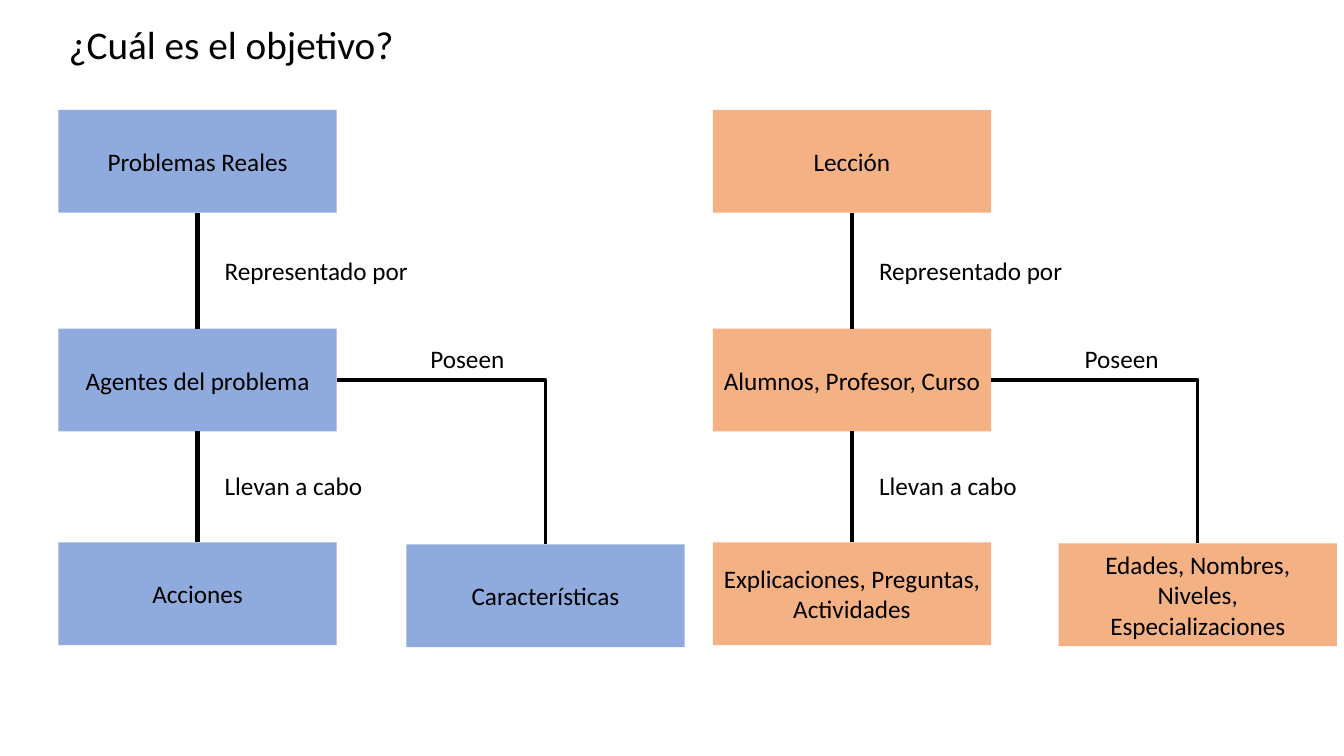
from lxml.etree import SubElement
from pptx import Presentation
from pptx.dml.color import RGBColor
from pptx.enum.shapes import MSO_CONNECTOR as Link, MSO_SHAPE as Shape
from pptx.enum.text import MSO_ANCHOR as Anchor, PP_ALIGN as Align
from pptx.oxml.ns import qn
from pptx.util import Inches, Pt

BLACK = RGBColor(0x00, 0x00, 0x00)
BLUE = RGBColor(0x8F, 0xAA, 0xDC)
ORANGE = RGBColor(0xF4, 0xB1, 0x83)

TITLE = "¿Cuál es el objetivo?"
TREES = [
    (0.58, BLUE, ["Problemas Reales", "Agentes del problema", "Acciones"],
     "Características", (4.03, 5.4)),
    (7.07, ORANGE, ["Lección", "Alumnos, Profesor, Curso",
                    "Explicaciones, Preguntas, Actividades"],
     "Edades, Nombres, Niveles, Especializaciones", (10.5, 5.39)),
]
TOPS = [1.09, 3.26, 5.38]
VERBS = [("Representado por", 1.55, 2.48), ("Llevan a cabo", 1.55, 4.62),
         ("Poseen", 3.59, 3.36)]
WIDE, HIGH = 2.76, 1.02


def write(shape, text, size, align, anchor):
    """Put formatted text in a shape."""
    frame = shape.text_frame
    frame.text = text
    frame.word_wrap = True
    frame.vertical_anchor = anchor
    para = frame.paragraphs[0]
    para.alignment = align
    font = para.runs[0].font
    font.name, font.size = "Calibri", Pt(size)
    font.color.rgb = BLACK


def add_box(slide, left, top, text, fill):
    """Add a filled box without outline."""
    box = slide.shapes.add_shape(Shape.RECTANGLE, Inches(left), Inches(top),
                                 Inches(WIDE), Inches(HIGH))
    box.shadow.inherit = False
    box.fill.solid()
    box.fill.fore_color.rgb = fill
    box.line.fill.background()
    write(box, text, 18, Align.CENTER, Anchor.MIDDLE)
    return box


def join(slide, kind, start, side, end, width):
    """Link a side of one box to the top of another."""
    line = slide.shapes.add_connector(kind, 0, 0, 0, 0)
    line.begin_connect(start, side)
    line.end_connect(end, 0)
    line.line.color.rgb = BLACK
    line.line.width = Pt(width)
    props = line._element.spPr
    SubElement(props, qn("a:effectLst"))
    if kind == Link.ELBOW:
        props.find(qn("a:prstGeom")).set("prst", "bentConnector2")


def add_tree(slide, left, fill, names, trait, spot):
    """Draw one column of boxes with its side branch and verbs."""
    boxes = [add_box(slide, left, top, name, fill)
             for top, name in zip(TOPS, names)]
    side = add_box(slide, *spot, trait, fill)
    for upper, lower in zip(boxes, boxes[1:]):
        join(slide, Link.STRAIGHT, upper, 2, lower, 3)
    join(slide, Link.ELBOW, boxes[1], 3, side, 2.25)
    for verb, shift, top in VERBS:
        label = slide.shapes.add_textbox(Inches(left + shift), Inches(top),
                                         Inches(2.06), Inches(0.4))
        write(label, verb, 18, Align.LEFT, Anchor.TOP)


def main():
    """Build and save the slide."""
    deck = Presentation()
    deck.slide_width, deck.slide_height = Inches(13.33), Inches(7.5)
    slide = deck.slides.add_slide(deck.slide_layouts[5])
    title = slide.shapes.title
    title.left, title.top = Inches(0.58), Inches(0.15)
    title.width, title.height = Inches(6.59), Inches(0.57)
    write(title, TITLE, 28, Align.LEFT, Anchor.TOP)
    for tree in TREES:
        add_tree(slide, *tree)
    deck.save("out.pptx")


if __name__ == "__main__":
    main()
